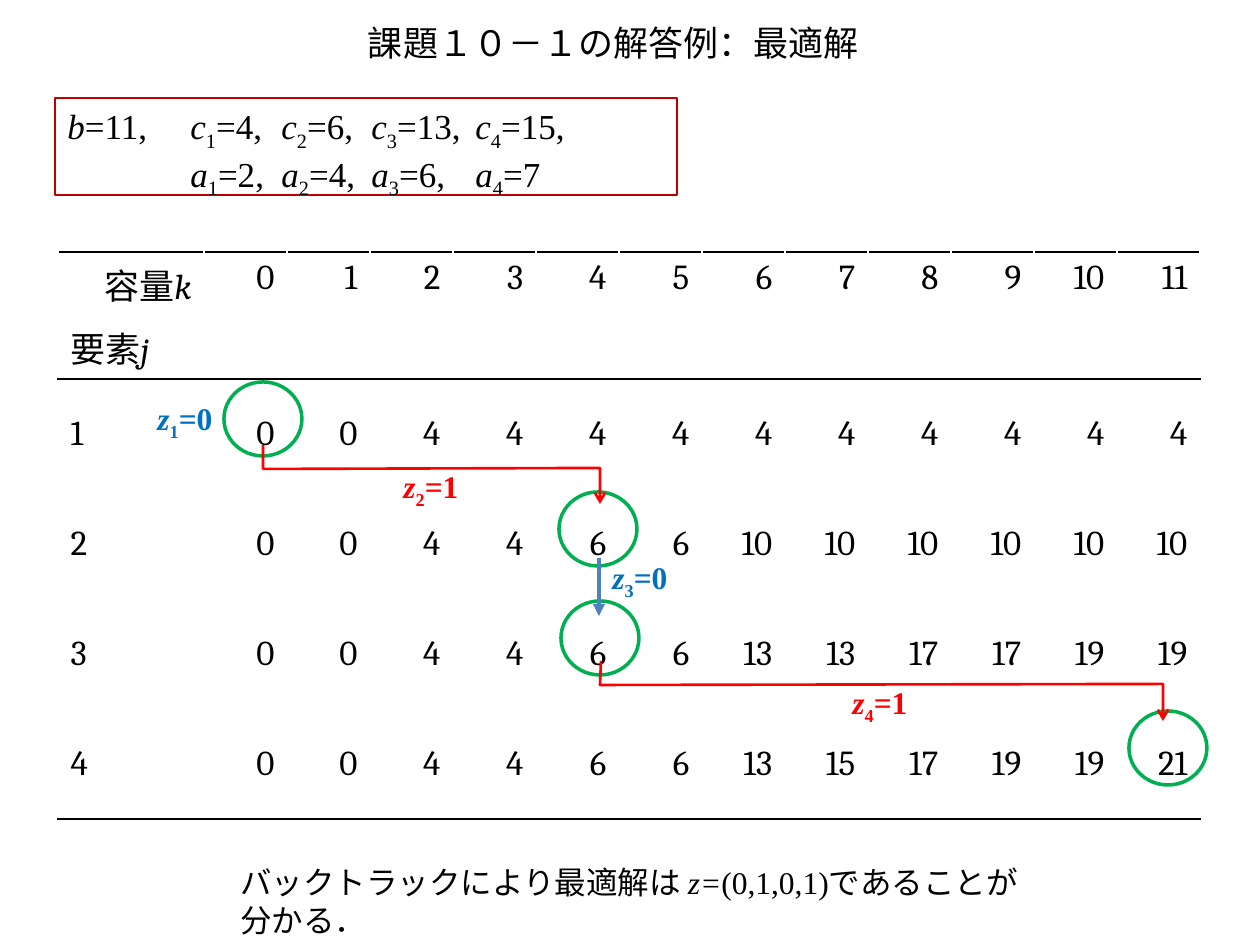
from dataclasses import dataclass
from lxml.etree import SubElement
from pptx import Presentation
from pptx.dml.color import RGBColor
from pptx.enum.shapes import MSO_CONNECTOR, MSO_SHAPE
from pptx.enum.text import MSO_ANCHOR, PP_ALIGN
from pptx.oxml.ns import qn
from pptx.util import Pt


@dataclass(frozen=True)
class Theme:
    black: str = "000000"
    white: str = "FFFFFF"
    frame: str = "C00000"
    green: str = "00B050"
    red: str = "FF0000"
    blue: str = "0070C0"
    arrow: str = "4F81BD"
    sans: str = "Calibri"
    serif: str = "Cambria"
    math: str = "Times New Roman"
    large: int = 20
    small: int = 18


T = Theme()
PX = 914400 // 126


def write(p, runs, font, size, color=T.black, bold=False):
    for text, style in runs:
        r = p.add_run()
        r.text = text
        r.font.name = font
        r.font.size = Pt(size)
        r.font.color.rgb = RGBColor.from_string(color)
        r.font.bold = bold
        r.font.italic = style == "i"
        if style == "sub":
            r.font._element.set("baseline", "-25000")


def stroke(shape, color, width, head=None):
    shape.line.color.rgb = RGBColor.from_string(color)
    shape.line.width = Pt(width)
    spPr = shape._element.spPr
    if head:
        SubElement(spPr.find(qn("a:ln")), qn("a:tailEnd"), type=head)
    if spPr.find(qn("a:effectLst")) is None:
        SubElement(spPr, qn("a:effectLst"))


prs = Presentation()
prs.slide_width, prs.slide_height = 1260 * PX, 945 * PX
s = prs.slides.add_slide(prs.slide_layouts[5])

title = s.shapes.title
title.left, title.top, title.width, title.height = 115 * PX, 15 * PX, 997 * PX, 55 * PX
p = title.text_frame.paragraphs[0]
p.alignment = PP_ALIGN.CENTER
write(p, [("課題１０－１の解答例：最適解", "")], T.sans, T.large)

values = [
    [0, 0, 4, 4, 4, 4, 4, 4, 4, 4, 4, 4],
    [0, 0, 4, 4, 6, 6, 10, 10, 10, 10, 10, 10],
    [0, 0, 4, 4, 6, 6, 13, 13, 17, 17, 19, 19],
    [0, 0, 4, 4, 6, 6, 13, 15, 17, 19, 19, 21],
]
rows = [
    [[("容量", ""), ("k", "i")]] + [[(str(k), "")] for k in range(12)],
    [[("要素", ""), ("j", "i")]] + [[]] * 12,
]
for j, line in enumerate(values, 1):
    rows.append([[(str(v), "")] for v in [j] + line])

heights = [55, 55, 110, 110, 110, 110]
widths = [146] + [83] * 12
tbl = s.shapes.add_table(6, 13, 58 * PX, 252 * PX, sum(widths) * PX, sum(heights) * PX).table
tbl.first_row = tbl.horz_banding = False
for col, w in zip(tbl.columns, widths):
    col.width = w * PX
for row, h in zip(tbl.rows, heights):
    row.height = h * PX
for c in range(1, 13):
    tbl.cell(0, c).merge(tbl.cell(1, c))

for i, row in enumerate(rows):
    for c, runs in enumerate(row):
        cell = tbl.cell(i, c)
        cell.vertical_anchor = MSO_ANCHOR.TOP if i < 2 and c else MSO_ANCHOR.MIDDLE
        p = cell.text_frame.paragraphs[0]
        p.alignment = PP_ALIGN.RIGHT if c or i == 0 else PP_ALIGN.LEFT
        write(p, runs, T.serif, T.large)
        top = T.black if i in (0, 2) else T.white
        bottom = T.black if i in (1, 5) or (i == 0 and c) else T.white
        tcPr = cell._tc.get_or_add_tcPr()
        for side, color in zip("LRTB", (T.white, T.white, top, bottom)):
            ln = SubElement(tcPr, qn("a:ln" + side), w=str(Pt(1)))
            SubElement(SubElement(ln, qn("a:solidFill")), qn("a:srgbClr"), val=color)
        cell.fill.background()

box = s.shapes.add_shape(MSO_SHAPE.RECTANGLE, 55 * PX, 98 * PX, 622 * PX, 97 * PX)
box.shadow.inherit = False
box.fill.background()
stroke(box, T.frame, 0.75)
tf = box.text_frame
tf.word_wrap = True
tf.vertical_anchor = MSO_ANCHOR.TOP
problem = [
    [("b", "", "=11,"), ("\tc", "1", "=4,"), ("\tc", "2", "=6,"), ("\tc", "3", "=13,"), ("\tc", "4", "=15,")],
    [("\ta", "1", "=2,"), ("\ta", "2", "=4,"), ("\ta", "3", "=6,"), ("\ta", "4", "=7")],
]
for i, terms in enumerate(problem):
    p = tf.paragraphs[0] if i == 0 else tf.add_paragraph()
    p.alignment = PP_ALIGN.LEFT
    tabs = SubElement(p._p.get_or_add_pPr(), qn("a:tabLst"))
    for x in (123, 214, 304, 408):
        SubElement(tabs, qn("a:tab"), pos=str(x * PX), algn="l")
    for name, index, value in terms:
        runs = [(name, "i"), (index, "sub"), (value, "")]
        write(p, [run for run in runs if run[0]], T.math, T.large)

for x, y in [(224, 382), (559, 492), (561, 601), (1129, 711)]:
    ring = s.shapes.add_shape(MSO_SHAPE.OVAL, x * PX, y * PX, 78 * PX, 74 * PX)
    ring.shadow.inherit = False
    ring.fill.background()
    stroke(ring, T.green, 2)

for points in [
    [(263, 445), (263, 469), (600, 468), (600, 504)],
    [(601, 661), (600, 685), (1163, 684), (1163, 721)],
]:
    fb = s.shapes.build_freeform(*points[0], scale=PX)
    fb.add_line_segments(points[1:], close=False)
    step = fb.convert_to_shape()
    step.shadow.inherit = False
    step.fill.background()
    stroke(step, T.red, 1.5, "arrow")

down = s.shapes.add_connector(MSO_CONNECTOR.STRAIGHT, 599 * PX, 558 * PX, 599 * PX, 616 * PX)
stroke(down, T.arrow, 2.25, "triangle")

for index, value, x, y, color in [
    ("1", "=0", 145, 393, T.blue),
    ("2", "=1", 391, 461, T.red),
    ("3", "=0", 600, 552, T.blue),
    ("4", "=1", 840, 677, T.red),
]:
    tf = s.shapes.add_textbox(x * PX, y * PX, 82 * PX, 50 * PX).text_frame
    tf.word_wrap = False
    write(tf.paragraphs[0], [("z", "i"), (index, "sub"), (value, "")], T.math, T.small, color, True)

tf = s.shapes.add_textbox(228 * PX, 857 * PX, 816 * PX, 50 * PX).text_frame
tf.word_wrap = True
p = tf.paragraphs[0]
write(p, [("バックトラックにより最適解は", "")], T.sans, T.small)
write(p, [(" z=", "i"), ("(0,1,0,1)であることが分かる．", "")], T.math, T.small)

prs.save("out.pptx")
